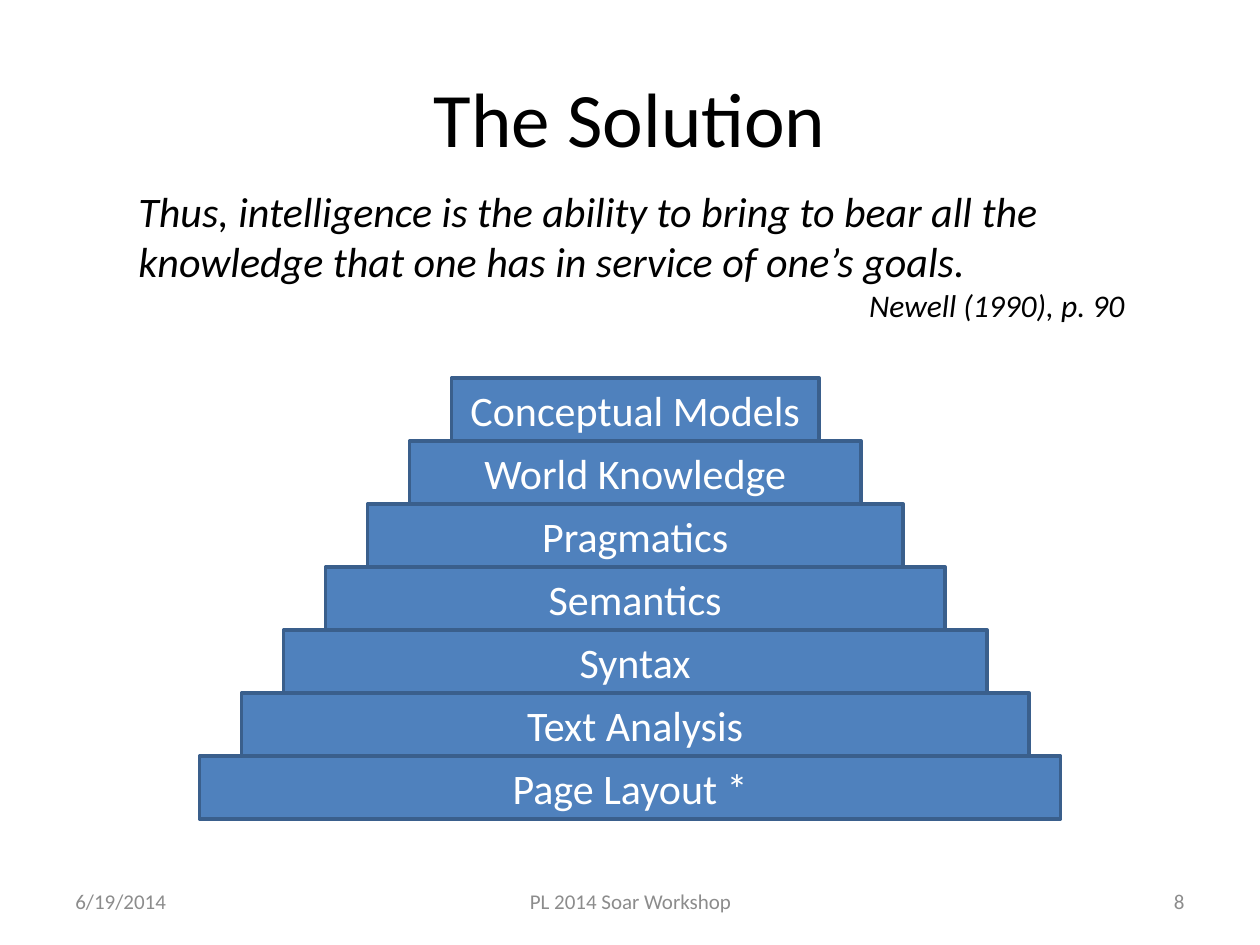
import pptx
import pptx.util
import pptx.dml.color
import pptx.enum.shapes
import pptx.enum.text

# Content
TITLE = "The Solution"
QUOTE = "Thus, intelligence is the ability to bring to bear all the knowledge that one has in service of one’s goals."
SOURCE = "Newell (1990), p. 90 "
LAYERS = ["Page Layout *", "Text Analysis", "Syntax", "Semantics",
          "Pragmatics", "World Knowledge", "Conceptual Models"]  # bottom to top
FOOTERS = [  # text, left, width (inches), alignment
    ("6/19/2014", 0.5, 2.33, "LEFT"),
    ("PL 2014 Soar Workshop", 3.42, 3.17, "CENTER"),
    ("8", 7.17, 2.33, "RIGHT"),
]

# Style
COLORS = {"text": "000000", "footer": "8C8C8C", "layer": "4F81BD",
          "border": "3A5F8C", "label": "FFFFFF"}
FORMATS = {
    "title": {"size": 44, "color": "text"},
    "quote": {"size": 24, "color": "text", "italic": True},
    "source": {"size": 18, "color": "text", "italic": True},
    "footer": {"size": 12, "color": "footer"},
    "layer": {"size": 24, "color": "label"},
}

# Pyramid grid: columns of 1/12 inch, rows of 1/2 inch
COLUMN, ROW = 1 / 12, 0.5
BASE_LEFT, BASE_RIGHT, BASE_ROW, STEP = 19, 102, 12, 4


def color(name):
    return pptx.dml.color.RGBColor.from_string(COLORS[name])


def box(*lengths):
    return [pptx.util.Inches(length) for length in lengths]


def write(paragraph, text, style, alignment="LEFT"):
    run = paragraph.add_run()
    run.text = text
    paragraph.alignment = getattr(pptx.enum.text.PP_ALIGN, alignment)
    settings = {"name": "Calibri", **FORMATS[style]}
    settings["size"] = pptx.util.Pt(settings["size"])
    run.font.color.rgb = color(settings.pop("color"))
    for attribute, value in settings.items():
        setattr(run.font, attribute, value)


def prepare(shape, anchor="MIDDLE"):
    frame = shape.text_frame
    frame.word_wrap = True
    frame.vertical_anchor = getattr(pptx.enum.text.MSO_ANCHOR, anchor)
    return frame


def main():
    presentation = pptx.Presentation()
    presentation.slide_width, presentation.slide_height = box(10, 7.5)
    slide = presentation.slides.add_slide(presentation.slide_layouts[5])
    shapes = slide.shapes

    # Title
    title = shapes.title
    title.left, title.top, title.width, title.height = box(0.5, 0.3, 9, 1.25)
    write(prepare(title).paragraphs[0], TITLE, "title", "CENTER")

    # Footer
    for text, left, width, alignment in FOOTERS:
        footer = shapes.add_textbox(*box(left, 6.95, width, 0.4))
        write(prepare(footer).paragraphs[0], text, "footer", alignment)

    # Quotation
    quote = prepare(shapes.add_textbox(*box(1, 1.42, 8.08, 1.21)), "TOP")
    quote.auto_size = pptx.enum.text.MSO_AUTO_SIZE.SHAPE_TO_FIT_TEXT
    write(quote.paragraphs[0], QUOTE, "quote")
    write(quote.add_paragraph(), SOURCE, "source", "RIGHT")

    # Pyramid: each layer is one step narrower on both sides
    for level, text in enumerate(LAYERS):
        left = BASE_LEFT + STEP * level
        right = BASE_RIGHT - STEP * level
        if level == 0:
            right -= 1  # the base stops one column short
        layer = shapes.add_shape(
            pptx.enum.shapes.MSO_SHAPE.RECTANGLE,
            *box(left * COLUMN, (BASE_ROW - level) * ROW, (right - left) * COLUMN, ROW))
        layer.shadow.inherit = False
        layer.fill.solid()
        layer.fill.fore_color.rgb = color("layer")
        layer.line.color.rgb = color("border")
        layer.line.width = pptx.util.Pt(2)
        write(prepare(layer).paragraphs[0], text, "layer", "CENTER")

    presentation.save("out.pptx")


if __name__ == "__main__":
    main()
